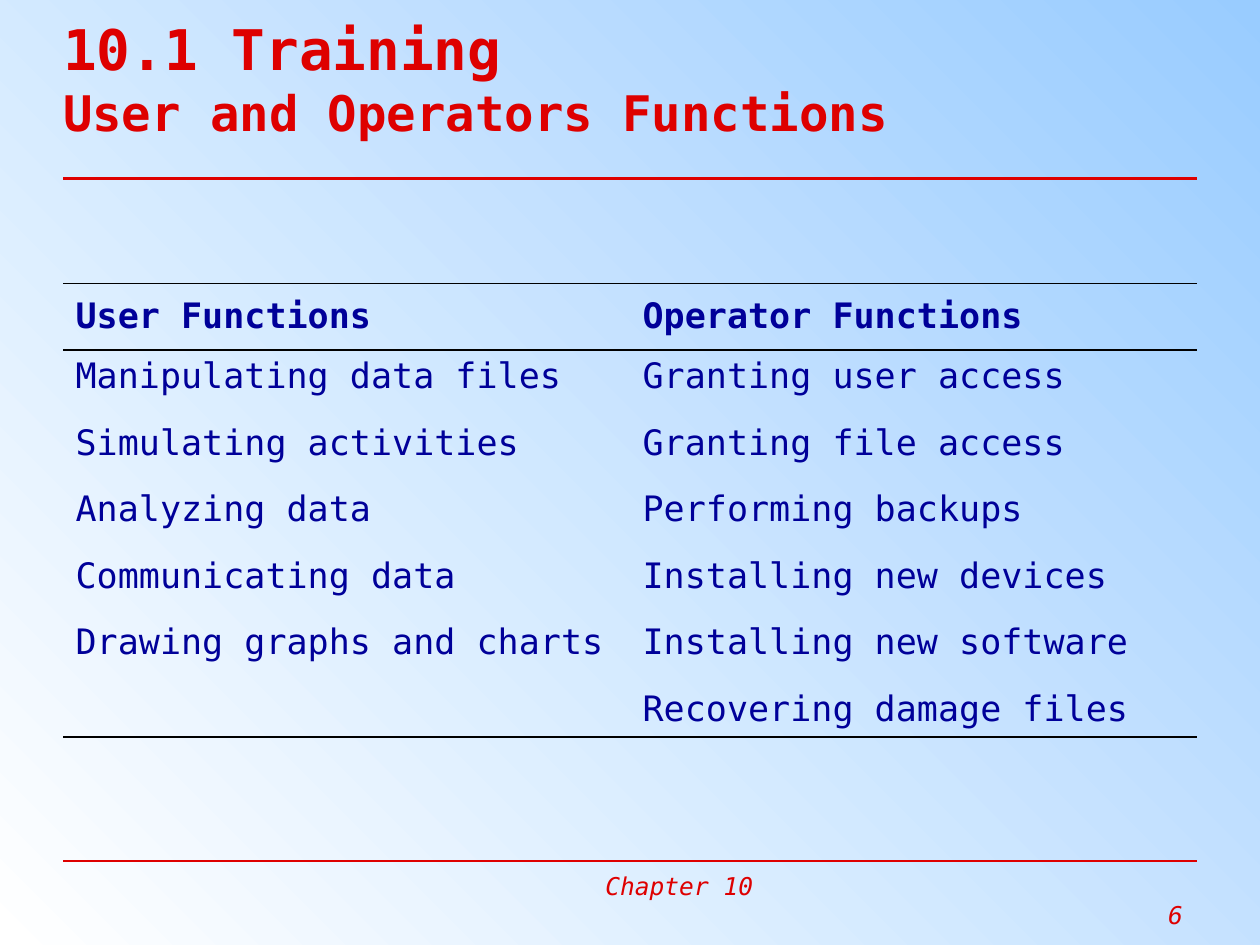
import pptx
import pptx.dml.color
import pptx.enum.text
import pptx.oxml
import pptx.oxml.ns
import pptx.util

Pt = pptx.util.Pt
ALIGN = pptx.enum.text.PP_ALIGN
ANCHOR = pptx.enum.text.MSO_ANCHOR

FONT = "DejaVu Sans Mono"
RED, NAVY, BLACK = "DE0000", "000099", "000000"
LEFT, WIDTH = 36, 648
NO_TABLE_STYLE = "{2D5ABB26-0587-4C30-8999-92F81FD0307C}"

FUNCTIONS = [
    ("User Functions", "Operator Functions"),
    ("Manipulating data files", "Granting user access"),
    ("Simulating activities", "Granting file access"),
    ("Analyzing data", "Performing backups"),
    ("Communicating data", "Installing new devices"),
    ("Drawing graphs and charts", "Installing new software"),
    ("", "Recovering damage files"),
]


def color(hex_string):
    return pptx.dml.color.RGBColor.from_string(hex_string)


class SlideBuilder:
    """Holds the current slide and the style of its elements."""

    def __init__(self, presentation):
        self.slide = presentation.slides.add_slide(presentation.slide_layouts[5])

    def background(self, start, end, angle):
        fill = self.slide.background.fill
        fill.gradient()
        fill.gradient_angle = angle
        for stop, value in zip(fill.gradient_stops, (start, end)):
            stop.color.rgb = color(value)

    def format_runs(self, paragraph, size, value, bold=False, italic=False):
        for run in paragraph.runs:
            run.font.name = FONT
            run.font.size = Pt(size)
            run.font.bold = bold
            run.font.italic = italic
            run.font.color.rgb = color(value)

    def title(self, lines, sizes, height):
        shape = self.slide.shapes.title
        shape.left, shape.top = Pt(LEFT), Pt(0)
        shape.width, shape.height = Pt(WIDTH), Pt(height)
        frame = shape.text_frame
        frame.auto_size = pptx.enum.text.MSO_AUTO_SIZE.NONE
        frame.vertical_anchor = ANCHOR.MIDDLE
        frame.margin_left = frame.margin_right = Pt(0)
        frame.margin_top = frame.margin_bottom = Pt(0)
        frame.text = "\n".join(lines)
        for paragraph, size in zip(frame.paragraphs, sizes):
            paragraph.alignment = ALIGN.LEFT
            self.format_runs(paragraph, size, RED, bold=True)

    def rule(self, top, weight):
        line = self.slide.shapes.add_connector(
            pptx.enum.shapes.MSO_CONNECTOR.STRAIGHT,
            Pt(LEFT), Pt(top), Pt(LEFT + WIDTH), Pt(top))
        line.line.color.rgb = color(RED)
        line.line.width = Pt(weight)
        pptx.oxml.ns.qn("a:effectLst")
        line._element.spPr.append(pptx.oxml.parse_xml(
            f'<a:effectLst {pptx.oxml.ns.nsdecls("a")}/>'))

    def footer(self, chapter, number):
        box = self.slide.shapes.add_textbox(Pt(334), Pt(494), Pt(349), Pt(40))
        frame = box.text_frame
        frame.word_wrap = True
        frame.margin_left = Pt(12)
        frame.text = f"{chapter}\n{number}"
        for paragraph, alignment in zip(frame.paragraphs, (ALIGN.LEFT, ALIGN.RIGHT)):
            paragraph.alignment = alignment
            self.format_runs(paragraph, 14, RED, italic=True)

    def border(self, cell, side):
        cell._tc.get_or_add_tcPr().append(pptx.oxml.parse_xml(
            f'<a:{side} {pptx.oxml.ns.nsdecls("a")} w="{Pt(1.08)}"><a:solidFill>'
            f'<a:srgbClr val="{BLACK}"/></a:solidFill></a:{side}>'))

    def table(self, rows, top, row_height, last_height):
        heights = [row_height] * (len(rows) - 1) + [last_height]
        table = self.slide.shapes.add_table(
            len(rows), len(rows[0]), Pt(LEFT), Pt(top), Pt(WIDTH), Pt(sum(heights))).table
        table.first_row = table.horz_banding = False
        style = table._tbl.tblPr.find(pptx.oxml.ns.qn("a:tableStyleId"))
        style.text = NO_TABLE_STYLE
        for index, (texts, height) in enumerate(zip(rows, heights)):
            table.rows[index].height = Pt(height)
            is_header = index == 0
            for cell, text in zip(table.rows[index].cells, texts):
                cell.text = text
                cell.vertical_anchor = ANCHOR.MIDDLE if is_header else ANCHOR.TOP
                self.format_runs(cell.text_frame.paragraphs[0], 20, NAVY, bold=is_header)
                if is_header:
                    self.border(cell, "lnT")
                if is_header or index == len(rows) - 1:
                    self.border(cell, "lnB")
                cell.fill.background()


def main():
    presentation = pptx.Presentation()
    presentation.slide_width, presentation.slide_height = Pt(720), Pt(540)
    builder = SlideBuilder(presentation)
    builder.background("99CCFF", "FFFFFF", 225)
    builder.rule(492, 0.75)
    builder.rule(102, 1.5)
    builder.footer("Chapter 10", 6)
    builder.title(["10.1 Training", "User and Operators Functions"], [32, 28], 89)
    builder.table(FUNCTIONS, 162, 38, 31)
    presentation.save("out.pptx")


if __name__ == "__main__":
    main()
